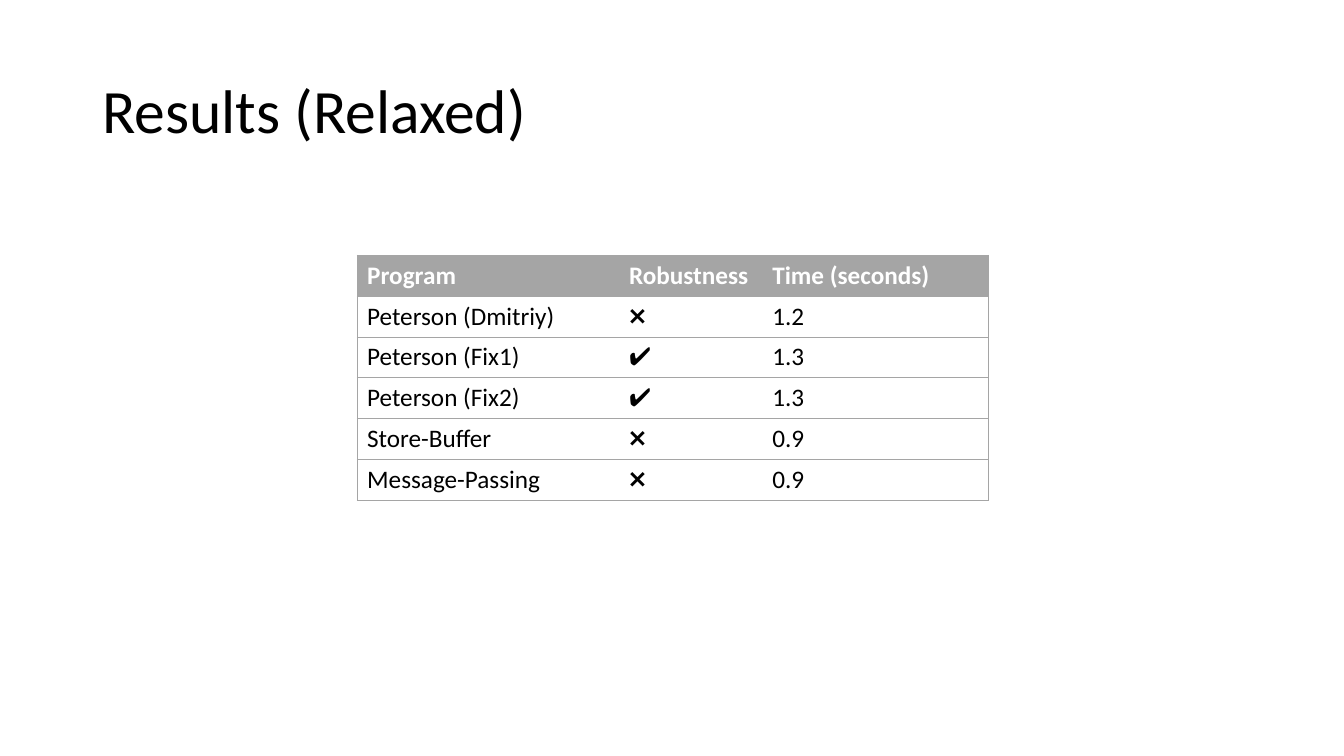
from lxml import etree
from pptx import Presentation
from pptx.dml.color import RGBColor
from pptx.enum.text import MSO_ANCHOR
from pptx.oxml.ns import qn
from pptx.util import Cm, Pt

MIDDLE = MSO_ANCHOR.MIDDLE
BLACK = RGBColor(0x00, 0x00, 0x00)
WHITE = RGBColor(0xFF, 0xFF, 0xFF)
GRAY = RGBColor(0xA5, 0xA5, 0xA5)
FONT = "Calibri"
WIDTHS = (6.6, 3.61, 5.69)
ROW = 1.03
DATA = (
    ("Program", "Robustness", "Time (seconds)"),
    ("Peterson (Dmitriy)", "❌", "1.2"),
    ("Peterson (Fix1)", "✔️", "1.3"),
    ("Peterson (Fix2)", "✔️", "1.3"),
    ("Store-Buffer", "❌", "0.9"),
    ("Message-Passing", "❌", "0.9"),
)


def add_run(para, text, size, color, bold=False):
    run = para.add_run()
    run.text = text
    font = run.font
    font.name, font.size, font.bold = FONT, Pt(size), bold
    font.color.rgb = color


def set_edges(cell, drawn):
    """Draw the named cell sides in gray and hide the others."""
    props = cell._tc.get_or_add_tcPr()
    for side in "LRTB":
        line = etree.SubElement(props, qn(f"a:ln{side}"), w=str(Pt(0.5)))
        if side in drawn:
            fill = etree.SubElement(line, qn("a:solidFill"))
            etree.SubElement(fill, qn("a:srgbClr"), val=str(GRAY))
        else:
            etree.SubElement(line, qn("a:noFill"))


def add_title(slide, left, top, width, height):
    box = slide.shapes.add_textbox(Cm(left), Cm(top), Cm(width), Cm(height))
    frame = box.text_frame
    frame.word_wrap = True
    frame.vertical_anchor = MIDDLE
    para = frame.paragraphs[0]
    para.line_spacing = 0.9
    add_run(para, "Results (Relaxed)", 44, BLACK)


def add_results(slide, left, top):
    rows, cols = len(DATA), len(WIDTHS)
    frame = slide.shapes.add_table(
        rows, cols, Cm(left), Cm(top), Cm(sum(WIDTHS)), Cm(ROW * rows))
    table = frame.table
    table.horz_banding = False
    for col, width in zip(table.columns, WIDTHS):
        col.width = Cm(width)
    for r, texts in enumerate(DATA):
        table.rows[r].height = Cm(ROW)
        head = r == 0
        for c, text in enumerate(texts):
            cell = table.cell(r, c)
            ends = {0: "L", cols - 1: "R"}
            set_edges(cell, "TB" + ends.get(c, ""))
            cell.fill.solid()
            cell.fill.fore_color.rgb = GRAY if head else WHITE
            add_run(cell.text_frame.paragraphs[0], text, 18,
                    WHITE if head else BLACK, head)


def main():
    deck = Presentation()
    deck.slide_width, deck.slide_height = Cm(33.87), Cm(19.05)
    slide = deck.slides.add_slide(deck.slide_layouts[6])
    add_title(slide, 2.33, 1.01, 29.21, 3.68)
    add_results(slide, 9, 6.43)
    deck.save("out.pptx")


if __name__ == "__main__":
    main()
